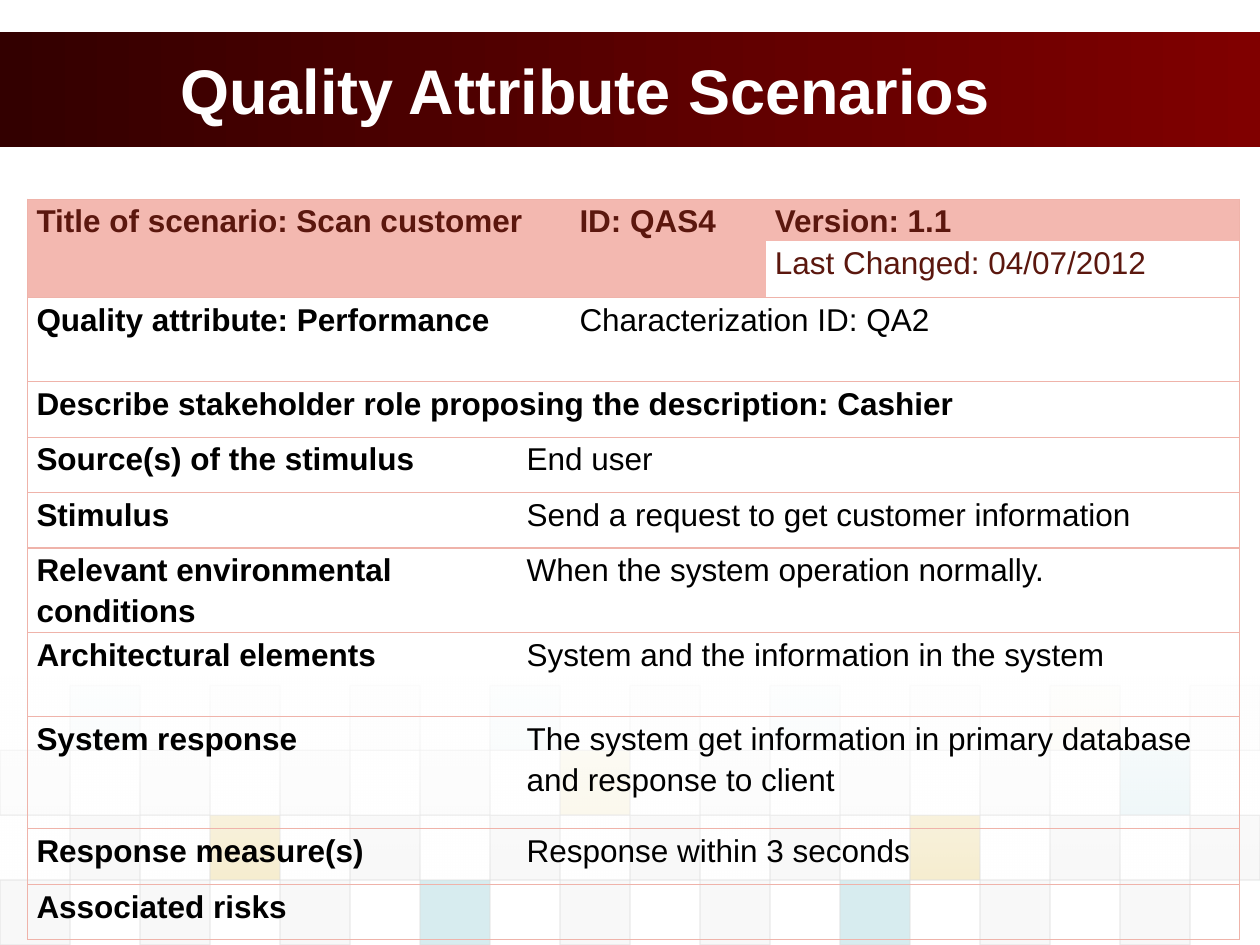
from pptx import Presentation
from pptx.dml.color import RGBColor
from pptx.enum.shapes import MSO_SHAPE
from pptx.enum.text import MSO_ANCHOR, PP_ALIGN
from pptx.oxml.ns import qn
from pptx.util import Inches, Pt
from lxml import etree

RECT, MIDDLE, LEFT = MSO_SHAPE.RECTANGLE, MSO_ANCHOR.MIDDLE, PP_ALIGN.LEFT
NO_GRID_STYLE = "{2D5ABB26-0587-4C30-8999-92F81FD0307C}"
COLORS = {
    "banner_dark": "330000", "banner": "800000", "white": "FFFFFF",
    "gray": "DDDDDD", "light": "EAEAEA", "gold": "D3A911", "teal": "38A3B2",
    "border": "EFB3AA", "header": "F3B8B0", "header_text": "5B170E", "text": "000000",
}
RGB = {name: RGBColor.from_string(value) for name, value in COLORS.items()}

prs = Presentation()
prs.slide_width, prs.slide_height = Inches(10), Inches(7.5)
W = prs.slide_width
s = prs.slides.add_slide(prs.slide_layouts[5])


def add_rect(x, y, w, h, fills, alphas=(), angle=0):
    """Rectangle with one solid colour or a two-colour gradient."""
    sp = s.shapes.add_shape(RECT, x, y, w, h)
    sp.shadow.inherit = False
    sp.line.fill.background()
    if len(fills) == 1:
        sp.fill.solid()
        sp.fill.fore_color.rgb = RGB[fills[0]]
    else:
        sp.fill.gradient()
        sp.fill.gradient_angle = angle
        for stop, name, position in zip(sp.fill.gradient_stops, fills, (0, 1)):
            stop.color.rgb = RGB[name]
            stop.position = position
    for clr, alpha in zip(sp._element.spPr.iter(qn("a:srgbClr")), alphas):
        etree.SubElement(clr, qn("a:alpha"), val=str(alpha * 1000))
    return sp


def add_border(cell, side):
    ln = etree.SubElement(cell._tc.get_or_add_tcPr(), qn("a:ln" + side), w=str(Pt(0.75)))
    fill = etree.SubElement(ln, qn("a:solidFill"))
    etree.SubElement(fill, qn("a:srgbClr"), val=COLORS["border"])


# Title banner
add_rect(0, Inches(0.25), W, Inches(0.92), ("banner_dark", "banner"))

# Checkerboard of tiles: 18 columns, 4 rows, every second tile drawn
TILE_ROWS = [
    (5, "teal light light teal gray teal light gold light"),
    (10, "gray gray gray gray gold gray gray gray teal"),
    (20, "gray gold gray gray gray gray gold gray gray"),
    (20, "gray gray gray teal gray gray teal gray gray"),
]
tile_w, tile_h, tiles_top = W / 18, Inches(0.515), Inches(5.44)
for row, (alpha, names) in enumerate(TILE_ROWS):
    for i, name in enumerate(names.split()):
        col = 2 * i + (row + 1) % 2
        sp = add_rect(int(col * tile_w), tiles_top + row * tile_h,
                      int(tile_w), tile_h, (name,), (alpha,))
        sp.line.color.rgb = RGB["gray"]
        sp.line.width = Pt(0.75)
        line_clr = sp.line._ln.find(".//" + qn("a:srgbClr"))
        etree.SubElement(line_clr, qn("a:alpha"), val="60000")

# White fade over the tiles
add_rect(0, Inches(5.37), W, Inches(1.62), ("white", "white"), (90, 0), 270)

# Title, lifted above the banner
title = s.shapes.title
s.shapes._spTree.append(title._element)
title.left, title.top, title.width, title.height = map(Inches, (1.33, 0.25, 8.08, 0.92))
tf = title.text_frame
tf.text = "Quality Attribute Scenarios"
tf.vertical_anchor = MIDDLE
p = tf.paragraphs[0]
p.alignment = LEFT
p.font.size, p.font.bold, p.font.name = Pt(36), True, "Arial"
p.font.color.rgb = RGB["white"]

# Scenario table: each cell is (column, column span, row span, text, bold)
DETAILS = [
    ("Source(s) of the stimulus", "End user"),
    ("Stimulus", "Send a request to get customer information"),
    ("Relevant environmental conditions", "When the system operation normally."),
    ("Architectural elements", "System and the information in the system"),
    ("System response",
     "The system get information in primary database and response to client"),
    ("Response measure(s)", "Response within 3 seconds"),
    ("Associated risks", ""),
]
ROWS = [
    [(0, 2, 2, "Title of scenario: Scan customer", True),
     (2, 1, 2, "ID: QAS4", True), (3, 1, 1, "Version: 1.1", True)],
    [(3, 1, 1, "Last Changed: 04/07/2012", False)],
    [(0, 2, 1, "Quality attribute: Performance", True),
     (2, 2, 1, "Characterization ID: QA2", False)],
    [(0, 4, 1, "Describe stakeholder role proposing the description: Cashier", True)],
] + [[(0, 1, 1, label, True), (1, 3, 1, value, False)] for label, value in DETAILS]
COL_WIDTHS = [3.89, 0.42, 1.55, 3.76]
ROW_HEIGHTS = [0.33, 0.45, 0.67, 0.44, 0.44, 0.44, 0.67, 0.67, 0.89, 0.44, 0.44]

frame = s.shapes.add_table(len(ROWS), len(COL_WIDTHS), Inches(0.22), Inches(1.58),
                           Inches(sum(COL_WIDTHS)), Inches(sum(ROW_HEIGHTS)))
table = frame.table
table._tbl.tblPr.find(qn("a:tableStyleId")).text = NO_GRID_STYLE
table.first_row = table.horz_banding = False
for column, width in zip(table.columns, COL_WIDTHS):
    column.width = Inches(width)
for row, height in zip(table.rows, ROW_HEIGHTS):
    row.height = Inches(height)

# Cell text and spans
for r, cells in enumerate(ROWS):
    for c, col_span, row_span, text, bold in cells:
        cell = table.cell(r, c)
        if col_span * row_span > 1:
            cell.merge(table.cell(r + row_span - 1, c + col_span - 1))
        cell.margin_left = cell.margin_right = Inches(0.07)
        cell.margin_top = cell.margin_bottom = 0
        cell.text_frame.text = text
        p = cell.text_frame.paragraphs[0]
        p.line_spacing = 1.15
        p.font.size, p.font.bold, p.font.name = Pt(18), bold, "Arial"
        p.font.color.rgb = RGB["header_text" if r < 2 else "text"]

# Outer frame, row rules and header fill
last_row, last_col = len(ROWS) - 1, len(COL_WIDTHS) - 1
for r in range(last_row + 1):
    for c in range(last_col + 1):
        cell = table.cell(r, c)
        if c == 0:
            add_border(cell, "L")
        if c == last_col or cell.is_merge_origin and c + cell.span_width > last_col:
            add_border(cell, "R")
        if r != 1:
            add_border(cell, "T")
        if r == last_row:
            add_border(cell, "B")
        if r == 0:
            cell.fill.solid()
            cell.fill.fore_color.rgb = RGB["header"]
        else:
            cell.fill.background()

prs.save("out.pptx")
